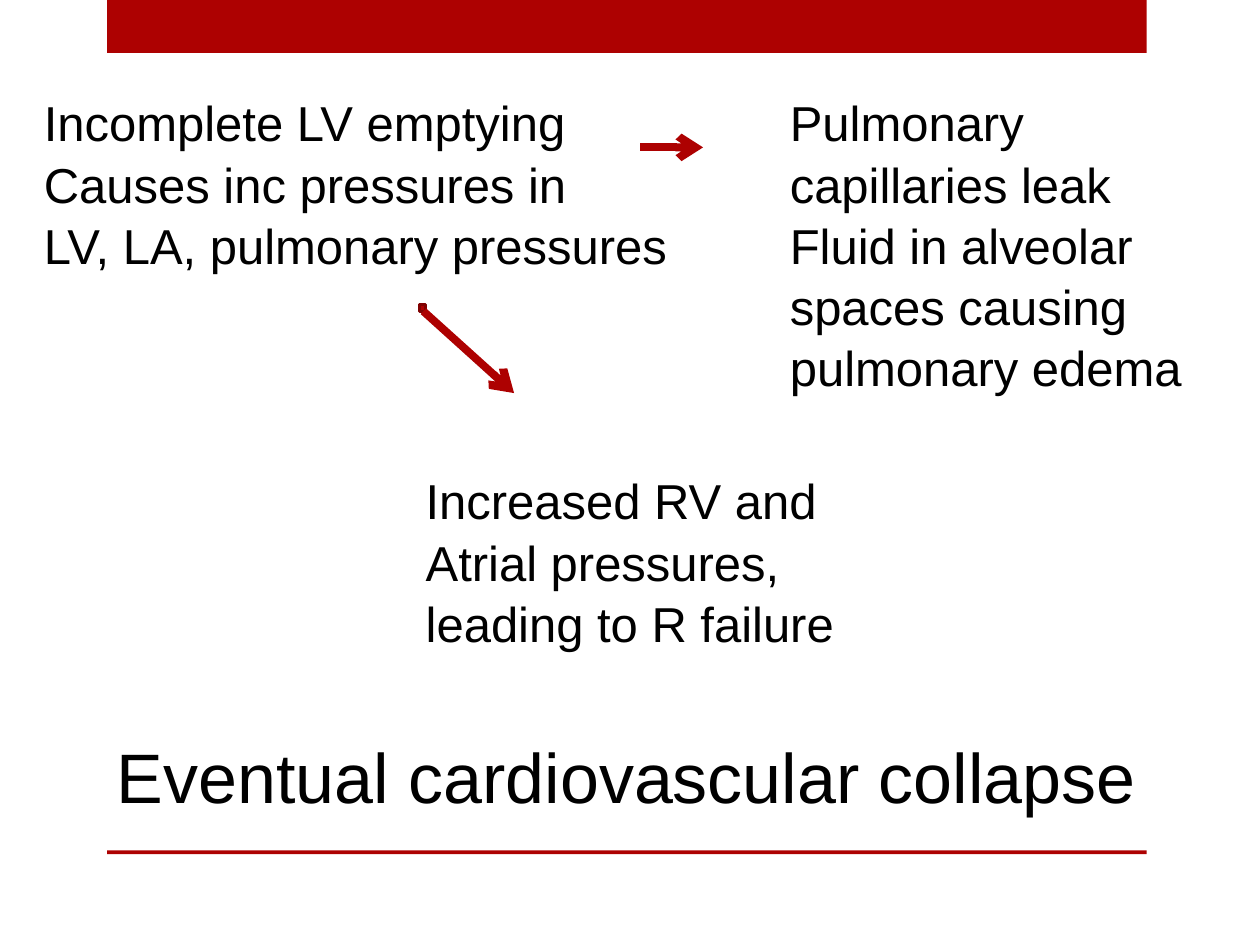
import pptx
import pptx.util
import pptx.dml.color
import pptx.enum.shapes
import pptx.enum.text
import pptx.oxml
import pptx.oxml.ns
from pptx.util import Inches

RED = pptx.dml.color.RGBColor(0xAD, 0x01, 0x01)
DARK_RED = pptx.dml.color.RGBColor(0x80, 0x01, 0x01)
BLACK = pptx.dml.color.RGBColor(0, 0, 0)

presentation = pptx.Presentation()
presentation.slide_width = Inches(10)
presentation.slide_height = Inches(7.5)
slide = presentation.slides.add_slide(presentation.slide_layouts[6])


def add_text(text, left, top, width, height, size=28, wrap=False, spacing=1.04):
    """Add a text box with one paragraph for each line of text."""
    box = slide.shapes.add_textbox(
        Inches(left), Inches(top), Inches(width), Inches(height))
    frame = box.text_frame
    frame.text = text
    frame.word_wrap = wrap
    frame.auto_size = pptx.enum.text.MSO_AUTO_SIZE.SHAPE_TO_FIT_TEXT
    for paragraph in frame.paragraphs:
        paragraph.line_spacing = spacing
        paragraph.font.name = "Arial"
        paragraph.font.size = pptx.util.Pt(size)
        paragraph.font.color.rgb = BLACK


# Red bands at top and bottom, and the small square where the long arrow starts
rectangles = [
    (0.85, 0, 8.25, 0.42, None),
    (0.85, 6.75, 8.25, 0.03, None),
    (3.33, 2.42, 0.05, 0.05, DARK_RED),
]
for left, top, width, height, outline in rectangles:
    shape = slide.shapes.add_shape(
        pptx.enum.shapes.MSO_SHAPE.RECTANGLE,
        Inches(left), Inches(top), Inches(width), Inches(height))
    shape.shadow.inherit = False
    shape.fill.solid()
    shape.fill.fore_color.rgb = RED
    if outline is None:
        shape.line.fill.background()
    else:
        shape.line.color.rgb = outline
        shape.line.width = pptx.util.Pt(1.75)

# Arrows from the cause to its two effects
for start_x, start_y, end_x, end_y in [(5.08, 1.17, 5.58, 1.17),
                                       (3.36, 2.47, 4.08, 3.12)]:
    arrow = slide.shapes.add_connector(
        pptx.enum.shapes.MSO_CONNECTOR.STRAIGHT,
        Inches(start_x), Inches(start_y), Inches(end_x), Inches(end_y))
    arrow.line.color.rgb = RED
    arrow.line.width = pptx.util.Pt(4.5)
    line = arrow.line._get_or_add_ln()
    line.append(pptx.oxml.parse_xml(
        '<a:tailEnd %s type="arrow"/>' % pptx.oxml.ns.nsdecls("a")))
    line.addnext(pptx.oxml.parse_xml(
        "<a:effectLst %s/>" % pptx.oxml.ns.nsdecls("a")))

# Cause, effects and outcome
add_text("Incomplete LV emptying\nCauses inc pressures in\n"
         "LV, LA, pulmonary pressures", 0.25, 0.67, 5.21, 1.51)
add_text("Pulmonary capillaries leak\n"
         "Fluid in alveolar spaces causing pulmonary edema",
         6.17, 0.67, 3.42, 2.46, wrap=True)
add_text("Increased RV and\nAtrial pressures,\nleading to R failure",
         3.28, 3.67, 3.62, 1.51)
add_text("Eventual cardiovascular collapse", 0.83, 5.75, 8.37, 0.77, size=40)

presentation.save("out.pptx")
